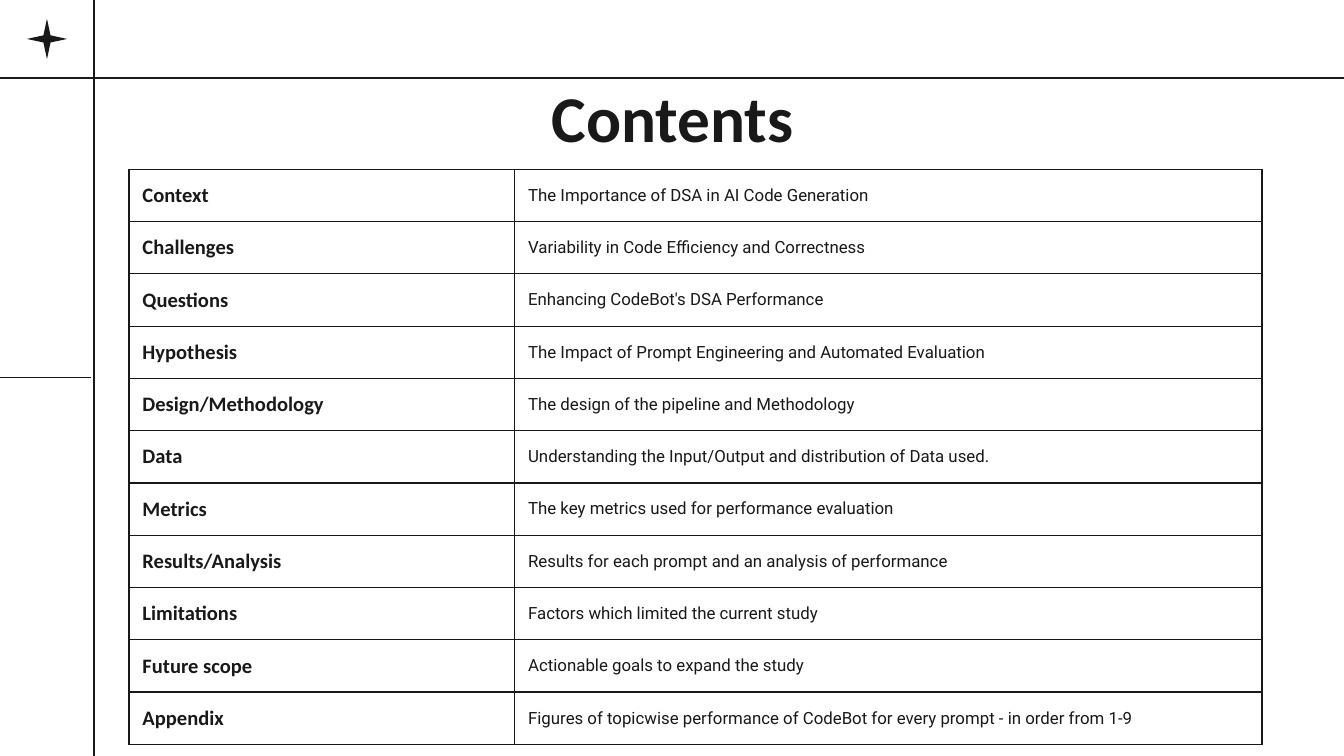
from typing import NamedTuple

from lxml import etree
from pptx import Presentation
from pptx.dml.color import RGBColor
from pptx.enum.shapes import MSO_CONNECTOR, MSO_SHAPE
from pptx.enum.text import MSO_ANCHOR, PP_ALIGN
from pptx.oxml.ns import qn
from pptx.util import Inches, Pt

STRAIGHT = MSO_CONNECTOR.STRAIGHT
STAR = MSO_SHAPE.STAR_4_POINT
MIDDLE = MSO_ANCHOR.MIDDLE
BOTTOM = MSO_ANCHOR.BOTTOM
CENTER = PP_ALIGN.CENTER

COLORS = {"ink": "191919", "paper": "FFFFFF"}
LINE_WIDTH = Pt(0.75)
INSET = Inches(0.1)
COLUMN_WIDTHS = (2.87, 5.56)
ROW_HEIGHT = 0.38


class Rule(NamedTuple):
    x1: float
    y1: float
    x2: float
    y2: float


class Entry(NamedTuple):
    section: str
    summary: str


class TextStyle(NamedTuple):
    font: str
    size: float
    bold: bool
    space_after: float


TITLE = TextStyle("Calibri", 35, True, 0)
SECTION = TextStyle("Calibri", 11, True, 0)
SUMMARY = TextStyle("Roboto", 9, False, 16)

RULES = [
    Rule(-0.02, 2.81, 0.68, 2.81),
    Rule(-0.04, 0.58, 10.04, 0.58),
    Rule(0.7, -0.03, 0.7, 5.66),
]

ENTRIES = [
    Entry("Context", "The Importance of DSA in AI Code Generation"),
    Entry("Challenges", "Variability in Code Efficiency and Correctness"),
    Entry("Questions", "Enhancing CodeBot's DSA Performance"),
    Entry("Hypothesis", "The Impact of Prompt Engineering and Automated Evaluation"),
    Entry("Design/Methodology", "The design of the pipeline and Methodology"),
    Entry("Data", "Understanding the Input/Output and distribution of Data used."),
    Entry("Metrics", "The key metrics used for performance evaluation"),
    Entry("Results/Analysis", "Results for each prompt and an analysis of performance"),
    Entry("Limitations", "Factors which limited the current study"),
    Entry("Future scope", "Actionable goals to expand the study"),
    Entry("Appendix", "Figures of topicwise performance of CodeBot for every prompt - in order from 1-9"),
]


def color(name: str) -> RGBColor:
    return RGBColor.from_string(COLORS[name])


def write(p, text: str, style: TextStyle) -> None:
    p.text = text
    p.space_after = Pt(style.space_after)
    p.font.name = style.font
    p.font.size = Pt(style.size)
    p.font.bold = style.bold
    p.font.color.rgb = color("ink")


def set_insets(box) -> None:
    box.margin_left = box.margin_right = INSET
    box.margin_top = box.margin_bottom = INSET


def add_rule(s, rule: Rule) -> None:
    line = s.shapes.add_connector(STRAIGHT, *(Inches(v) for v in rule))
    line.line.color.rgb = color("ink")
    line.line.width = LINE_WIDTH
    etree.SubElement(line._element.spPr, qn("a:effectLst"))


def add_star(s) -> None:
    sp = s.shapes.add_shape(STAR, Inches(0.2), Inches(0.14), Inches(0.3), Inches(0.3))
    sp.adjustments[0] = 0.125
    sp.shadow.inherit = False
    sp.fill.solid()
    sp.fill.fore_color.rgb = color("ink")
    sp.line.fill.background()


def add_title(s, text: str) -> None:
    sp = s.shapes.add_textbox(Inches(0.79), Inches(0.58), Inches(8.43), Inches(0.68))
    tf = sp.text_frame
    tf.word_wrap = True
    tf.vertical_anchor = BOTTOM
    set_insets(tf)
    p = tf.paragraphs[0]
    p.alignment = CENTER
    write(p, text, TITLE)


def add_borders(cell) -> None:
    tc_pr = cell._tc.get_or_add_tcPr()
    for index, side in enumerate(("lnL", "lnR", "lnT", "lnB")):
        ln = etree.Element(qn(f"a:{side}"), w=str(LINE_WIDTH))
        fill = etree.SubElement(ln, qn("a:solidFill"))
        etree.SubElement(fill, qn("a:srgbClr"), val=COLORS["ink"])
        tc_pr.insert(index, ln)


def add_contents(s, entries: list[Entry]) -> None:
    frame = s.shapes.add_table(
        len(entries), len(COLUMN_WIDTHS), Inches(0.96), Inches(1.26),
        Inches(sum(COLUMN_WIDTHS)), Inches(ROW_HEIGHT * len(entries)),
    )
    table = frame.table
    table.first_row = False
    table.horz_banding = False
    for column, width in zip(table.columns, COLUMN_WIDTHS):
        column.width = Inches(width)
    for row, entry in zip(table.rows, entries):
        row.height = Inches(ROW_HEIGHT)
        for cell, text, style in zip(row.cells, entry, (SECTION, SUMMARY)):
            cell.fill.background()
            cell.vertical_anchor = MIDDLE
            set_insets(cell)
            add_borders(cell)
            write(cell.text_frame.paragraphs[0], text, style)


def main() -> None:
    prs = Presentation()
    prs.slide_width = Inches(10)
    prs.slide_height = prs.slide_width * 9 // 16
    s = prs.slides.add_slide(prs.slide_layouts[6])
    s.background.fill.solid()
    s.background.fill.fore_color.rgb = color("paper")
    for rule in RULES:
        add_rule(s, rule)
    add_star(s)
    add_contents(s, ENTRIES)
    add_title(s, "Contents")
    prs.save("out.pptx")


if __name__ == "__main__":
    main()
